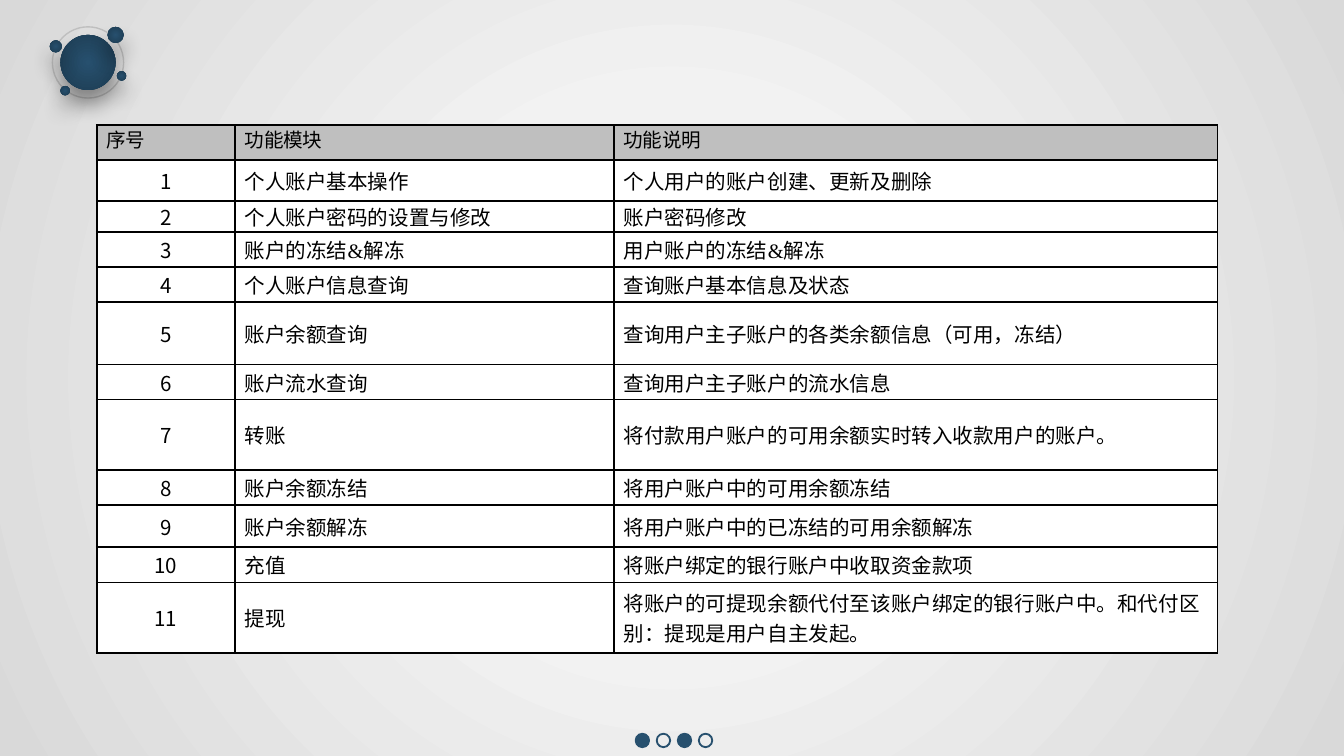
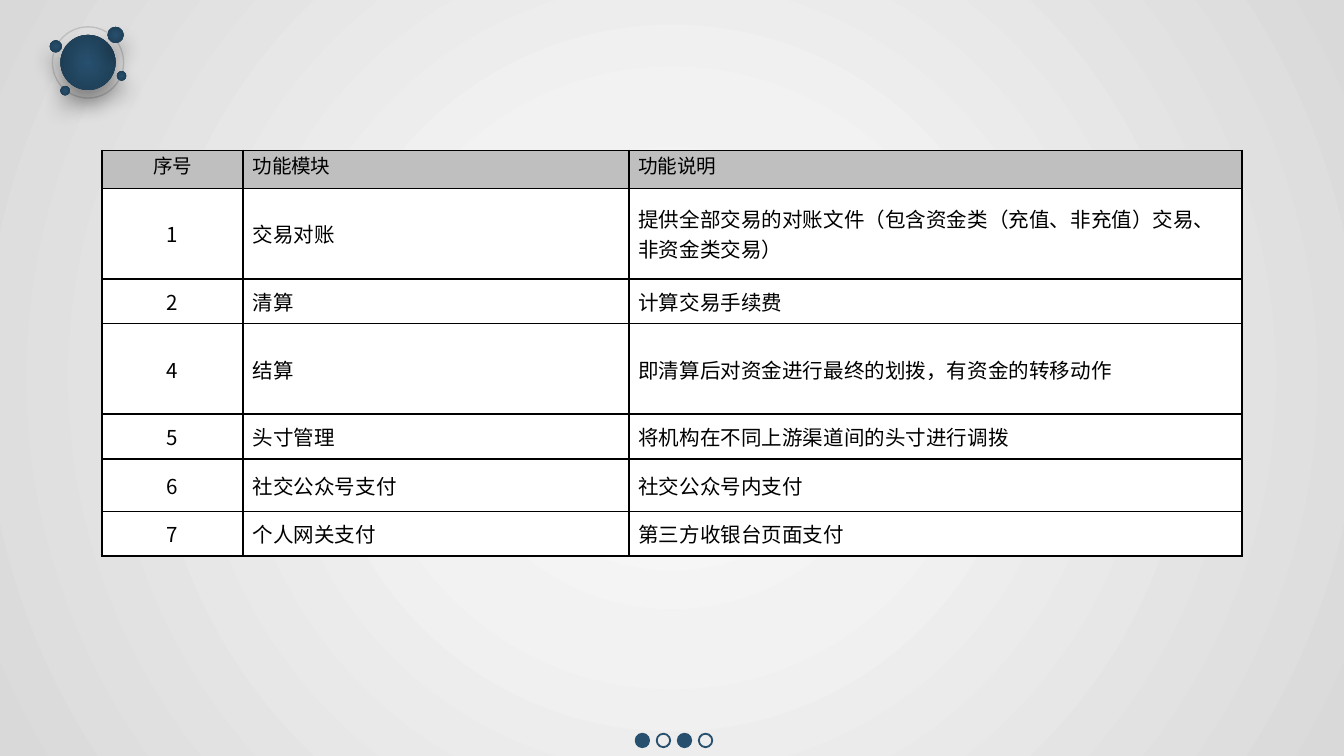
"""Build two slides listing account and settlement functions."""
from dataclasses import dataclass

from pptx import Presentation
from pptx.dml.color import RGBColor
from pptx.enum import shapes, text
from pptx.oxml import ns, parse_xml
from pptx.util import Inches, Pt

HEADINGS = ("序号", "功能模块", "功能说明")
PAGES = [
    {
        "corner": (0.72, 0.93),
        "height": 3.93,
        "columns": (1.03, 2.82, 4.49),
        "heading_height": 0.26,
        "heading_align": text.PP_ALIGN.LEFT,
        "functions": [
            (0.3, "1", "个人账户基本操作", "个人用户的账户创建、更新及删除"),
            (0.23, "2", "个人账户密码的设置与修改", "账户密码修改"),
            (0.26, "3", "账户的冻结&解冻", "用户账户的冻结&解冻"),
            (0.26, "4", "个人账户信息查询", "查询账户基本信息及状态"),
            (0.46, "5", "账户余额查询", "查询用户主子账户的各类余额信息（可用，冻结）"),
            (0.26, "6", "账户流水查询", "查询用户主子账户的流水信息"),
            (0.52, "7", "转账", "将付款用户账户的可用余额实时转入收款用户的账户。"),
            (0.26, "8", "账户余额冻结", "将用户账户中的可用余额冻结"),
            (0.31, "9", "账户余额解冻", "将用户账户中的已冻结的可用余额解冻"),
            (0.26, "10", "充值", "将账户绑定的银行账户中收取资金款项"),
            (0.52, "11", "提现",
             "将账户的可提现余额代付至该账户绑定的银行账户中。和代付区别：提现是用户自主发起。"),
        ],
    },
    {
        "corner": (0.76, 1.12),
        "height": 3.02,
        "columns": (1.05, 2.87, 4.56),
        "heading_height": 0.28,
        "heading_align": text.PP_ALIGN.CENTER,
        "functions": [
            (0.67, "1", "交易对账",
             "提供全部交易的对账文件（包含资金类（充值、非充值）交易、非资金类交易）"),
            (0.33, "2", "清算", "计算交易手续费"),
            (0.67, "4", "结算", "即清算后对资金进行最终的划拨，有资金的转移动作"),
            (0.33, "5", "头寸管理", "将机构在不同上游渠道间的头寸进行调拨"),
            (0.39, "6", "社交公众号支付", "社交公众号内支付"),
            (0.33, "7", "个人网关支付", "第三方收银台页面支付"),
        ],
    },
]
RING = (0.39, 0.2, 0.53)
BUBBLES = [(0.45, 0.26, 0.41), (0.8, 0.2, 0.12), (0.37, 0.3, 0.09),
           (0.45, 0.64, 0.07), (0.87, 0.53, 0.07)]
PAGER = {"first": 4.73, "last": 5.2, "top": 5.46, "size": 0.1,
         "filled": (True, False, True, False)}


@dataclass(frozen=True)
class Theme:
    accent: str = "27506E"
    ring: str = "BFBFBF"
    heading: str = "BFBFBF"
    body: str = "FFFFFF"
    ink: str = "000000"
    backdrop: tuple = ((0, "FFFFFF"), (35, "F2F2F2"), (100, "D9D9D9"))
    bubble: tuple = ((0, "27506E"), (100, "1D3C52"))
    text_font: str = "Times New Roman"
    number_font: str = "Noto Sans CJK SC"
    heading_size: float = 10.5
    body_size: float = 11
    border: float = 1
    cell_margin: float = 0.07


THEME = Theme()


def color(value):
    return RGBColor.from_string(value)


def drawing(tag, attributes, content):
    return parse_xml(f'<a:{tag} {ns.nsdecls("a")} {attributes}>{content}</a:{tag}>')


def fill_radial(owner, fill, stops):
    fill.gradient()
    default = next(owner.element.iter(ns.qn("a:gradFill")))
    steps = "".join(f'<a:gs pos="{at * 1000}"><a:srgbClr val="{tint}"/></a:gs>'
                    for at, tint in stops)
    radial = drawing("gradFill", 'rotWithShape="1"',
                     f'<a:gsLst>{steps}</a:gsLst><a:path path="circle">'
                     '<a:fillToRect l="50000" t="50000" r="50000" b="50000"/></a:path>')
    default.getparent().replace(default, radial)


def add_circle(group, left, top, size, line=None, width=1):
    circle = group.shapes.add_shape(shapes.MSO_SHAPE.OVAL, Inches(left), Inches(top),
                                    Inches(size), Inches(size))
    circle.shadow.inherit = False
    circle.fill.background()
    if line:
        circle.line.color.rgb = color(line)
        circle.line.width = Pt(width)
    else:
        circle.line.fill.background()
    return circle


def cast_shadow(circle):
    effects = next(circle.element.iter(ns.qn("a:effectLst")))
    effects.append(drawing(
        "outerShdw", f'blurRad="{Pt(11)}" dist="{Pt(8)}" dir="5400000" algn="t" rotWithShape="0"',
        f'<a:srgbClr val="{THEME.ink}"><a:alpha val="40000"/></a:srgbClr>'))


def add_frame(slide):
    fill_radial(slide, slide.background.fill, THEME.backdrop)
    emblem = slide.shapes.add_group_shape()
    add_circle(emblem, *RING, line=THEME.ring, width=0.75)
    for place in BUBBLES:
        bubble = add_circle(emblem, *place)
        fill_radial(bubble, bubble.fill, THEME.bubble)
        cast_shadow(bubble)
    pager = slide.shapes.add_group_shape()
    step = (PAGER["last"] - PAGER["first"]) / (len(PAGER["filled"]) - 1)
    for index, filled in enumerate(PAGER["filled"]):
        dot = add_circle(pager, PAGER["first"] + index * step, PAGER["top"],
                         PAGER["size"], line=THEME.accent)
        if filled:
            dot.fill.solid()
            dot.fill.fore_color.rgb = color(THEME.accent)


def write_cell(cell, words, fill, font, size, align, anchor):
    cell.margin_left = cell.margin_right = Inches(THEME.cell_margin)
    cell.margin_top = cell.margin_bottom = 0
    cell.vertical_anchor = anchor
    properties = cell._tc.get_or_add_tcPr()
    for side in ("lnL", "lnR", "lnT", "lnB"):
        properties.append(drawing(
            side, f'w="{Pt(THEME.border)}"',
            f'<a:solidFill><a:srgbClr val="{THEME.ink}"/></a:solidFill>'))
    cell.fill.solid()
    cell.fill.fore_color.rgb = color(fill)
    cell.text = words
    paragraph = cell.text_frame.paragraphs[0]
    paragraph.alignment = align
    paragraph.font.name = font
    paragraph.font.size = Pt(size)
    paragraph.font.color.rgb = color(THEME.ink)


def add_functions(slide, page):
    left, top = page["corner"]
    shares = [page["heading_height"]] + [row[0] for row in page["functions"]]
    stretch = page["height"] / sum(shares)
    table = slide.shapes.add_table(
        len(shares), len(HEADINGS), Inches(left), Inches(top),
        Inches(sum(page["columns"])), Inches(page["height"])).table
    table.first_row = table.horz_banding = False
    for column, width in zip(table.columns, page["columns"]):
        column.width = Inches(width)
    for row, share in zip(table.rows, shares):
        row.height = Inches(share * stretch)
    left_align, centered = text.PP_ALIGN.LEFT, text.PP_ALIGN.CENTER
    for index, words in enumerate(HEADINGS):
        write_cell(table.cell(0, index), words, THEME.heading, THEME.text_font,
                   THEME.heading_size, left_align if index else page["heading_align"],
                   text.MSO_ANCHOR.TOP)
    for number, (_, *entry) in enumerate(page["functions"], 1):
        for index, words in enumerate(entry):
            write_cell(table.cell(number, index), words, THEME.body,
                       THEME.text_font if index else THEME.number_font,
                       THEME.body_size, left_align if index else centered,
                       text.MSO_ANCHOR.MIDDLE)


def main():
    deck = Presentation()
    deck.slide_width = Inches(10)
    deck.slide_height = deck.slide_width * 9 // 16
    for page in PAGES:
        slide = deck.slides.add_slide(deck.slide_layouts[6])
        add_frame(slide)
        add_functions(slide, page)
    deck.save("out.pptx")


if __name__ == "__main__":
    main()
